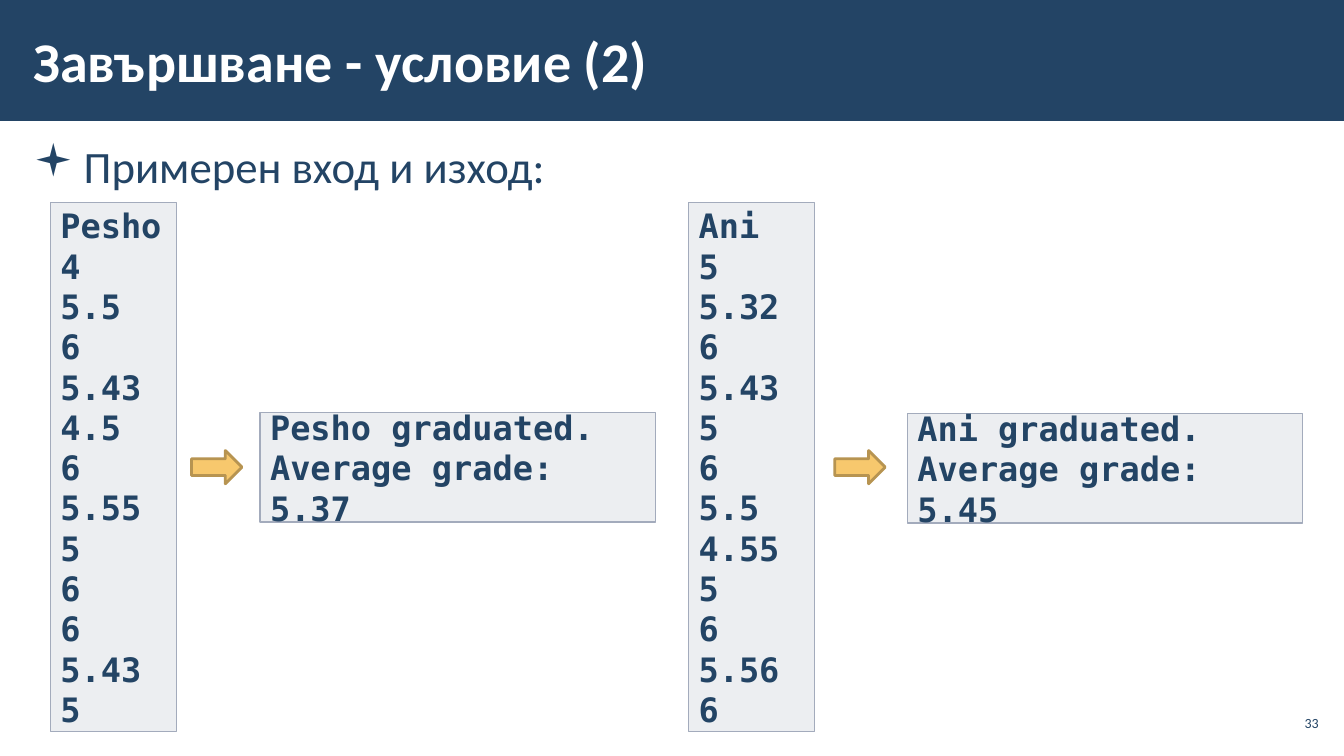
from lxml import etree
from pptx import Presentation
from pptx.dml.color import RGBColor
from pptx.enum.shapes import MSO_SHAPE as SHAPE
from pptx.enum.text import MSO_ANCHOR as ANCHOR, PP_ALIGN as ALIGN
from pptx.oxml.ns import qn
from pptx.util import Pt

PX = 9144
COLORS = {
    "navy": "234465",
    "white": "FFFFFF",
    "panel": "A3ABBC",
    "arrow": "F7C86D",
    "arrow_line": "B79451",
}
SANS = "Calibri"
MONO = "DejaVu Sans Mono"
EXAMPLES = [
    {
        "box": (50, 201, 600, 525),
        "arrow_x": 140,
        "result_x": 208,
        "result_y": 208,
        "input": "Pesho 4 5.5 6 5.43 4.5 6 5.55 5 6 6 5.43 5",
        "result": "Pesho graduated. Average grade: 5.37",
    },
    {
        "box": (683, 201, 609, 525),
        "arrow_x": 145,
        "result_x": 217,
        "result_y": 209,
        "input": "Ani 5 5.32 6 5.43 5 6 5.5 4.55 5 6 5.56 6",
        "result": "Ani graduated. Average grade: 5.45",
    },
]


def rgb(name):
    return RGBColor.from_string(COLORS[name])


def emu(*lengths):
    return [n * PX for n in lengths]


def set_text(sp, text, size, font, color="navy", bold=False,
             anchor=ANCHOR.MIDDLE, align=ALIGN.LEFT, insets=(10, 5)):
    tf = sp.text_frame
    tf.word_wrap = True
    tf.vertical_anchor = anchor
    tf.margin_left = tf.margin_right = insets[0] * PX
    tf.margin_top = tf.margin_bottom = insets[1] * PX
    tf.text = text
    for p in tf.paragraphs:
        p.alignment = align
        for r in p.runs:
            r.font.size = Pt(size)
            r.font.name = font
            r.font.bold = bold
            r.font.color.rgb = rgb(color)


def add_text(s, box, text, size, **style):
    sp = s.shapes.add_textbox(*emu(*box))
    set_text(sp, text, size, SANS, **style)
    return sp


def add_block(s, kind, box, fill, line=None, width=1):
    sp = s.shapes.add_shape(kind, *emu(*box))
    sp.shadow.inherit = False
    sp.fill.solid()
    sp.fill.fore_color.rgb = rgb(fill)
    if line:
        sp.line.color.rgb = rgb(line)
        sp.line.width = Pt(width)
    else:
        sp.line.fill.background()
    return sp


def add_panel(s, box, text):
    sp = add_block(s, SHAPE.RECTANGLE, box, "panel", "panel")
    color = sp.fill._xPr.find(qn("a:solidFill"))[0]
    etree.SubElement(color, qn("a:alpha")).set("val", "20000")
    set_text(sp, text, 24, MONO, bold=True)


def add_header(s, box, title):
    x, y, w, h = box
    add_block(s, SHAPE.RECTANGLE, box, "navy")
    add_text(s, (x + 21, y + 11, 1039, h - 23), title, 40,
             color="white", bold=True, insets=(12, 4))


def add_bullet(s, box, text):
    sp = add_text(s, box, text, 32, anchor=ANCHOR.TOP, insets=(12, 4))
    p = sp.text_frame.paragraphs[0]
    p.line_spacing = 1.05
    p.space_before = p.space_after = Pt(6)
    pPr = p._p.get_or_add_pPr()
    pPr.set("marL", str(50 * PX))
    pPr.set("indent", str(-50 * PX))
    etree.SubElement(pPr, qn("a:buFont")).set("typeface", "Wingdings")
    etree.SubElement(pPr, qn("a:buChar")).set("char", "▪")


def add_example(s, example):
    x, y, w, h = example["box"]
    result_x = example["result_x"]
    add_panel(s, (x, y, 125, h), "\n".join(example["input"].split()))
    arrow_box = (x + example["arrow_x"], y + 246, 50, 33)
    add_block(s, SHAPE.RIGHT_ARROW, arrow_box, "arrow", "arrow_line", 2)
    add_panel(s, (x + result_x, y + example["result_y"], w - result_x, 109),
              example["result"])


def add_page_number(s, box, number):
    add_text(s, box, number, 10, align=ALIGN.RIGHT, insets=(4, 4))


def main():
    prs = Presentation()
    prs.slide_width, prs.slide_height = emu(1333, 750)
    s = prs.slides.add_slide(prs.slide_layouts[6])
    add_header(s, (0, 0, 1333, 120), "Завършване - условие (2)")
    add_bullet(s, (21, 131, 1292, 569), "Примерен вход и изход:")
    add_page_number(s, (1265, 700, 47, 34), "33")
    for example in EXAMPLES:
        add_example(s, example)
    prs.save("out.pptx")


if __name__ == "__main__":
    main()
